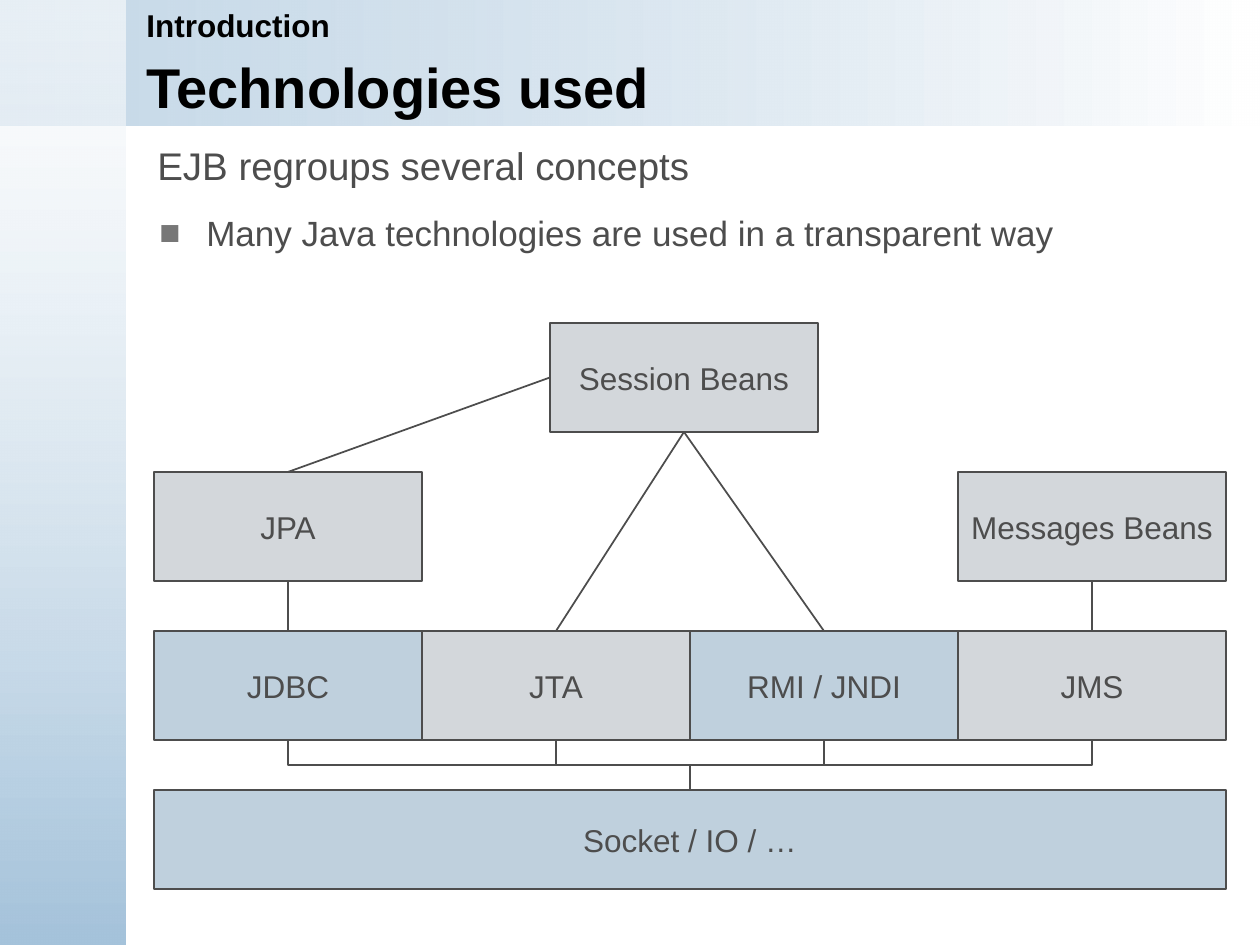
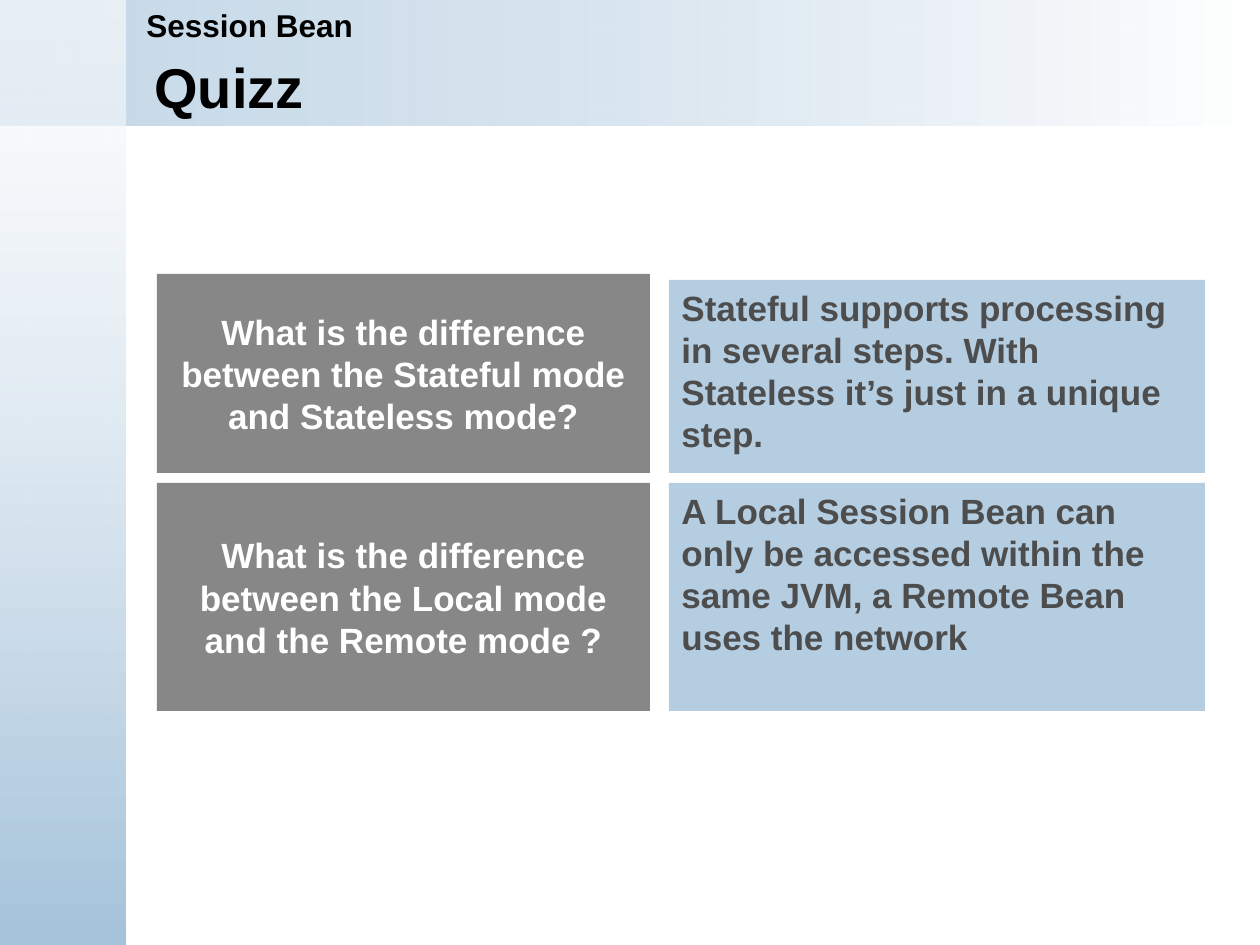
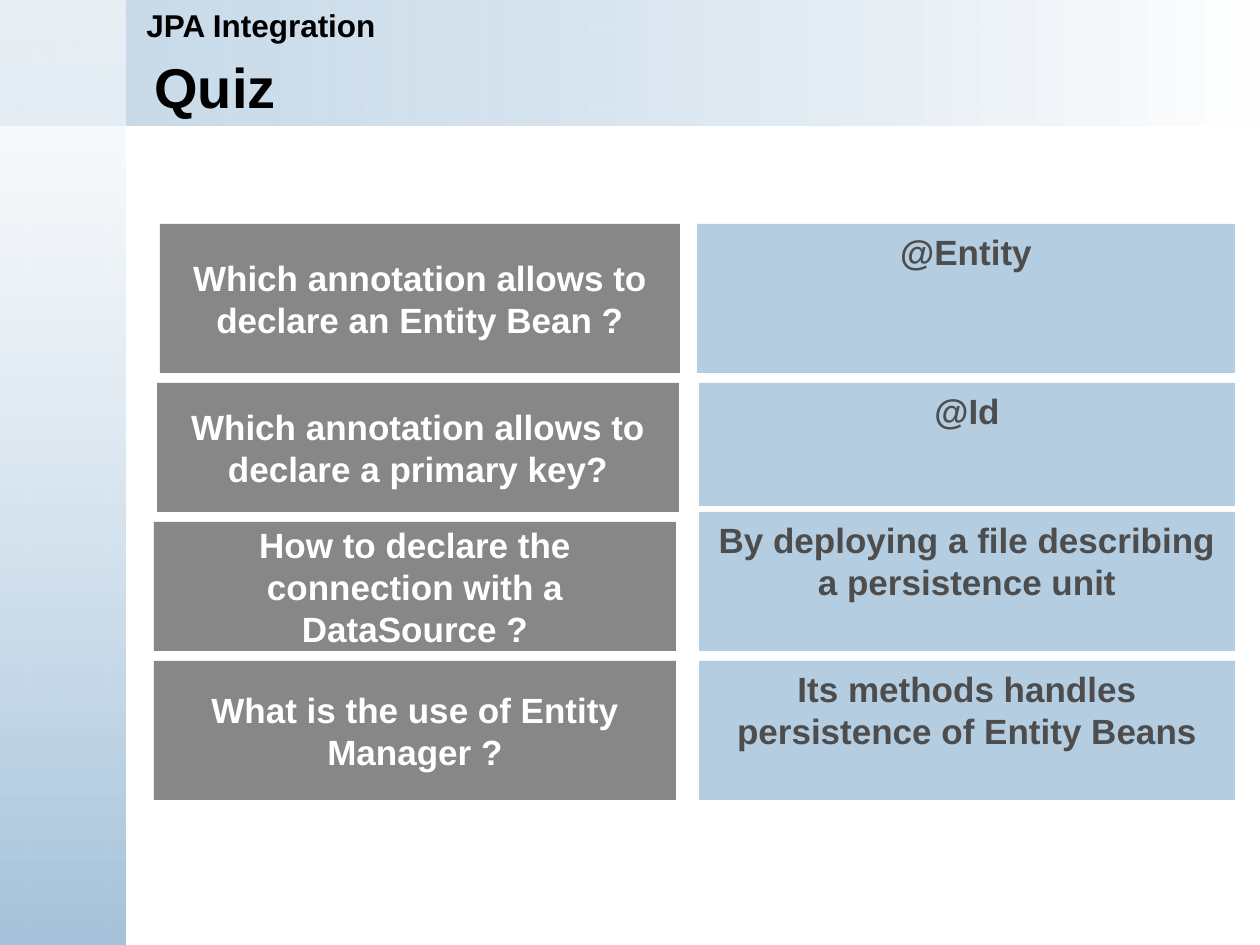
from lxml.etree import SubElement
from pptx import Presentation
from pptx.dml.color import RGBColor
from pptx.enum.shapes import MSO_CONNECTOR as LINE, MSO_SHAPE as SHAPE
from pptx.enum.text import MSO_ANCHOR as ANCHOR, PP_ALIGN as ALIGN
from pptx.oxml.ns import qn
from pptx.util import Emu, Pt

WIDTH, HEIGHT, BAND = 1260, 945, 126
FONT = "Arial"
BLACK, WHITE, INK = "000000", "FFFFFF", "4D4D4D"
BULLET, BLUE, PALE_BLUE, PALE_GRAY = "777777", "A5C3DB", "BFD0DD", "D3D7DB"
TOP, LEFT, BOTTOM = 0, 1, 2  # connection sites of a rectangle


def px(length):
    return Emu(round(length * 914400 / 126))


def rgb(code):
    return RGBColor.from_string(code)


def set_alpha(shape, percent):
    """Make the first fill colour of the shape partly transparent."""
    colour = shape.element.spPr.find(".//" + qn("a:srgbClr"))
    SubElement(colour, qn("a:alpha"), val=str(percent * 1000))


class SlideBuilder:
    def __init__(self):
        self.deck = Presentation()
        self.deck.slide_width, self.deck.slide_height = px(WIDTH), px(HEIGHT)

    def page(self, section, title, title_left):
        """Start a slide with its bands, section name and title."""
        self.shapes = self.deck.slides.add_slide(self.deck.slide_layouts[6]).shapes
        self.band(WIDTH, BAND, (BLUE, WHITE), 62, 0)
        self.band(BAND, HEIGHT, (WHITE, BLUE), 59, 270)
        self.text(title_left, 47, 1065, 79, title, 32, BLACK, True, anchor=ANCHOR.MIDDLE)
        self.text(134, 0, 1126, 51, section, 18, BLACK, True)

    def rectangle(self, left, top, width, height):
        box = self.shapes.add_shape(SHAPE.RECTANGLE, px(left), px(top), px(width), px(height))
        box.shadow.inherit = False
        box.line.fill.background()
        return box

    def band(self, width, height, colours, alpha, angle):
        box = self.rectangle(0, 0, width, height)
        box.fill.gradient()
        box.fill.gradient_angle = angle
        for stop, colour in zip(box.fill.gradient_stops, colours):
            stop.color.rgb = rgb(colour)
        set_alpha(box, alpha)

    def set_text(self, box, text, size, colour, bold=False, align=ALIGN.LEFT,
                 anchor=ANCHOR.TOP, wrap=True):
        frame = box.text_frame
        frame.text = text
        frame.word_wrap = wrap
        frame.vertical_anchor = anchor
        para = frame.paragraphs[0]
        para.alignment = align
        font = para.runs[0].font
        font.name, font.size, font.bold = FONT, Pt(size), bold
        font.color.rgb = rgb(colour)
        return para

    def text(self, left, top, width, height, *content, **style):
        box = self.shapes.add_textbox(px(left), px(top), px(width), px(height))
        return self.set_text(box, *content, **style)

    def bullet(self, left, top, width, height, text):
        para = self.text(left, top, width, height, text, 20, INK)
        para.line_spacing = 0.9
        props = para._p.get_or_add_pPr()
        props.set("marL", str(px(47)))
        props.set("indent", str(-px(47)))
        SubElement(SubElement(props, qn("a:buClr")), qn("a:srgbClr"), val=BULLET)
        SubElement(props, qn("a:buFont"), typeface=FONT)
        SubElement(props, qn("a:buChar"), char="■")

    def node(self, left, top, width, height, text, colour):
        box = self.rectangle(left, top, width, height)
        box.fill.solid()
        box.fill.fore_color.rgb = rgb(colour)
        box.line.color.rgb = rgb(INK)
        box.line.width = Pt(1)
        self.set_text(box, text, 18, INK, align=ALIGN.CENTER, anchor=ANCHOR.MIDDLE, wrap=False)
        return box

    def connector(self, kind, *ends):
        line = self.shapes.add_connector(kind, *map(px, ends))
        line.line.color.rgb = rgb(INK)
        line.line.width = Pt(1)
        SubElement(line._element.spPr, qn("a:effectLst"))
        return line

    def link(self, start, start_site, end, end_site):
        line = self.connector(LINE.STRAIGHT, 0, 0, 0, 0)
        line.begin_connect(start, start_site)
        line.end_connect(end, end_site)

    def elbow(self, x1, y1, x2, y2):
        """Draw a down-across-down elbow as a turned across-down-across one."""
        middle_x, middle_y = (x1 + x2) // 2, (y1 + y2) // 2
        reach, rise = (y2 - y1) // 2, abs(x2 - x1) // 2
        turn = 270 if x1 < x2 else 90
        if x1 < x2:
            reach = -reach
        line = self.connector(LINE.ELBOW, middle_x - reach, middle_y - rise,
                              middle_x + reach, middle_y + rise)
        line._element.spPr.find(qn("a:xfrm")).set("rot", str(turn * 60000))

    def card(self, area, text, fill, alpha, colour, align, anchor):
        box = self.rectangle(*area)
        box.fill.solid()
        box.fill.fore_color.rgb = rgb(fill)
        set_alpha(box, alpha)
        self.set_text(box, text, 20, colour, True, align, anchor)

    def quiz(self, rows, answer_align):
        for question_area, question, answer_area, answer in rows:
            self.card(question_area, question, INK, 67, WHITE, ALIGN.CENTER, ANCHOR.MIDDLE)
            self.card(answer_area, answer, BLUE, 83, INK, answer_align, ANCHOR.TOP)


def technologies(builder):
    builder.page("Introduction", "Technologies used", 134)
    builder.bullet(147, 210, 1058, 103, "Many Java technologies are used in a transparent way")
    builder.text(145, 136, 1050, 59, "EJB regroups several concepts", 22, INK)

    node_width, node_height = 268, 109
    columns = [154 + node_width * i for i in range(4)]
    bean_top, api_top, socket_top = 472, 631, 790

    def node(left, top, text, colour=PALE_GRAY):
        return builder.node(left, top, node_width, node_height, text, colour)

    session = node(550, 323, "Session Beans")
    jpa = node(columns[0], bean_top, "JPA")
    messages = node(columns[3], bean_top, "Messages Beans")
    names = ("JDBC", "JTA", "RMI / JNDI", "JMS")
    jdbc, jta, rmi, jms = [
        node(left, api_top, name, colour)
        for left, name, colour in zip(columns, names, (PALE_BLUE, PALE_GRAY) * 2)
    ]
    builder.node(columns[0], socket_top, 4 * node_width, 99, "Socket / IO / …", PALE_BLUE)

    for start, start_site, end, end_site in (
        (jpa, BOTTOM, jdbc, TOP),
        (messages, BOTTOM, jms, TOP),
        (jta, TOP, session, BOTTOM),
        (rmi, TOP, session, BOTTOM),
        (jpa, TOP, session, LEFT),
    ):
        builder.link(start, start_site, end, end_site)
    for left in columns:
        builder.elbow(left + node_width // 2, api_top + node_height, columns[2], socket_top)


def session_quiz(builder):
    builder.page("Session Bean", "Quizz", 142)
    builder.quiz((
        ((157, 274, 493, 199),
         "What is the difference between the Stateful mode and Stateless mode?",
         (669, 280, 536, 193),
         "Stateful supports processing in several steps. "
         "With Stateless it’s just in a unique step."),
        ((157, 483, 493, 228),
         "What is the difference between the Local mode and the Remote mode ?",
         (669, 483, 536, 228),
         "A Local Session Bean can only be accessed within the same JVM, "
         "a Remote Bean uses the network"),
    ), ALIGN.LEFT)


def jpa_quiz(builder):
    builder.page("JPA Integration", "Quiz", 142)
    builder.quiz((
        ((160, 224, 520, 149), "Which annotation allows to declare an Entity Bean ?",
         (697, 224, 538, 149), "@Entity"),
        ((157, 383, 522, 129), "Which annotation allows to declare a primary key?",
         (699, 383, 536, 123), "@Id"),
        ((154, 522, 522, 129), "How to declare the connection with a DataSource ?",
         (699, 512, 536, 139), "By deploying a file describing a persistence unit"),
        ((154, 661, 522, 139), "What is the use of Entity Manager ?",
         (699, 661, 536, 139), "Its methods handles persistence of Entity Beans"),
    ), ALIGN.CENTER)


def main():
    builder = SlideBuilder()
    technologies(builder)
    session_quiz(builder)
    jpa_quiz(builder)
    builder.deck.save("out.pptx")


if __name__ == "__main__":
    main()
